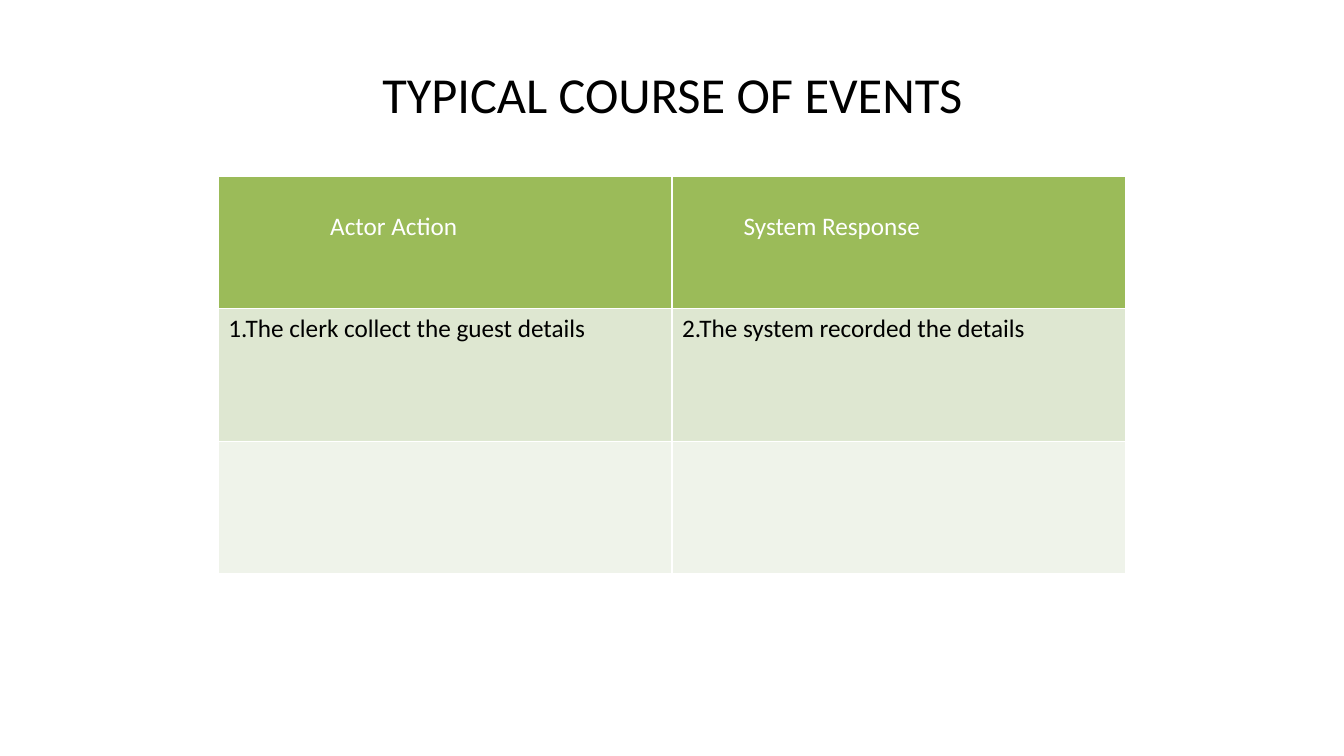
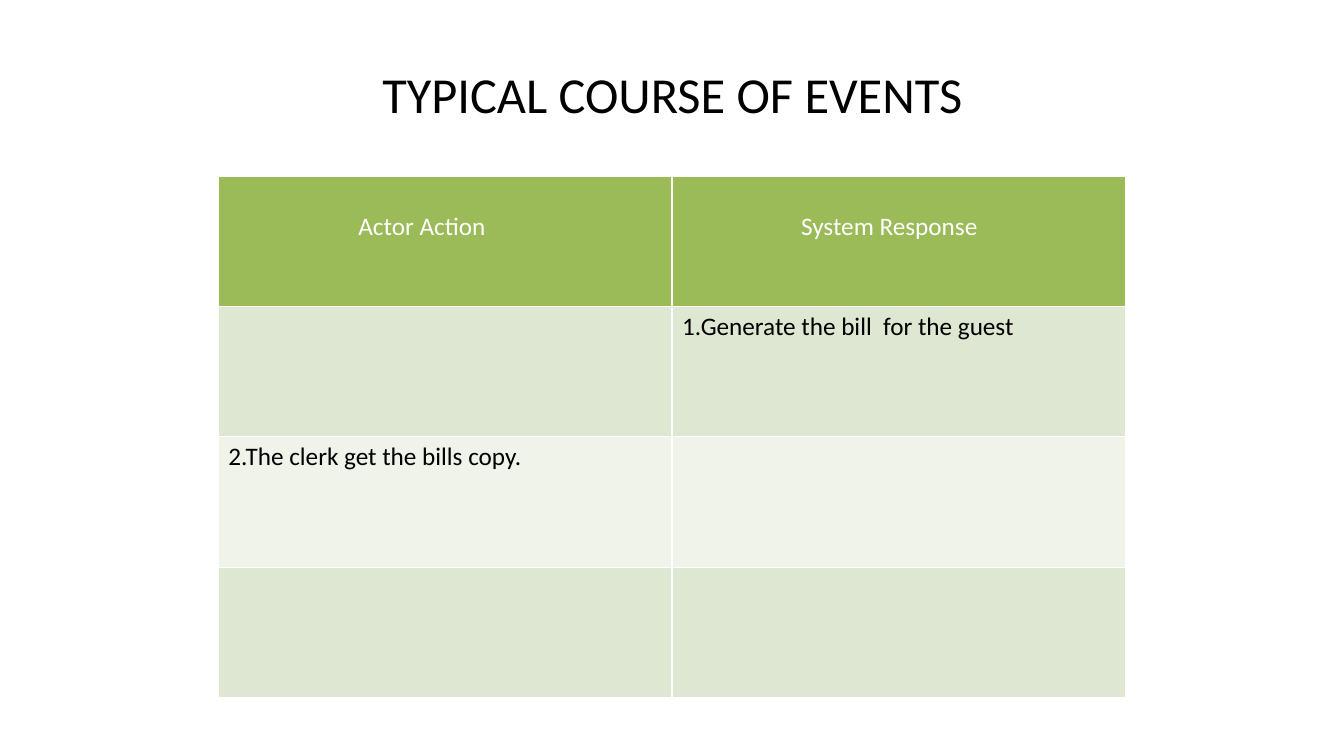
from lxml import etree
from pptx import Presentation
from pptx import util as u
from pptx.dml.color import RGBColor
from pptx.enum import text
from pptx.oxml.ns import qn

# Content: header pairs hold the label and its indent in inches
TITLE = "TYPICAL COURSE OF EVENTS"
SLIDES = [
    {"head": [("Actor Action", 1.11), ("System Response", 0.71)],
     "rows": [("1.The clerk collect the guest details",
               "2.The system recorded the details"),
              ("", "")],
     "height": 3.94},
    {"head": [("Actor Action", 1.39), ("System Response", 1.28)],
     "rows": [("", "1.Generate the bill  for the guest"),
              ("2.The clerk get the bills copy.", ""),
              ("", "")],
     "height": 5.17},
]

# Shared style
BLACK = RGBColor(0x00, 0x00, 0x00)
WHITE = RGBColor(0xFF, 0xFF, 0xFF)
GREEN = RGBColor(0x9B, 0xBB, 0x59)
BANDS = [RGBColor(0xDE, 0xE7, 0xD1), RGBColor(0xEF, 0xF3, 0xEA)]
WIDE, HIGH = 13.33, 7.5
TABLE_W, TABLE_TOP = 9, 1.75
HEAD_DROP = 0.35


def style(para, size, color):
    look = {"name": "Calibri", "size": u.Pt(size), "bold": False}
    for key, value in look.items():
        setattr(para.font, key, value)
    para.font.color.rgb = color


def add_title(slide):
    box = slide.shapes.add_textbox(u.Inches(0.67), u.Inches(0.3),
                                   u.Inches(12), u.Inches(1.25))
    frame = box.text_frame
    frame.word_wrap = True
    frame.vertical_anchor = text.MSO_ANCHOR.MIDDLE
    frame.text = TITLE
    para = frame.paragraphs[0]
    para.alignment = text.PP_ALIGN.CENTER
    style(para, 36, BLACK)


def add_edges(cell):
    props = cell._tc.get_or_add_tcPr()
    for side in "LRTB":
        line = etree.SubElement(props, qn(f"a:ln{side}"), w=str(u.Pt(1)))
        fill = etree.SubElement(line, qn("a:solidFill"))
        etree.SubElement(fill, qn("a:srgbClr"), val=str(WHITE))


def fill_cell(cell, words, back, color):
    add_edges(cell)
    cell.fill.solid()
    cell.fill.fore_color.rgb = back
    cell.text = words
    style(cell.text_frame.paragraphs[0], 18, color)


def add_events(slide, data):
    count = len(data["rows"]) + 1
    grid = slide.shapes.add_table(
        count, 2, u.Inches((WIDE - TABLE_W) / 2), u.Inches(TABLE_TOP),
        u.Inches(TABLE_W), u.Inches(data["height"])).table
    grid.first_row = grid.horz_banding = False

    # Header row
    for col, (label, indent) in enumerate(data["head"]):
        cell = grid.cell(0, col)
        fill_cell(cell, label, GREEN, WHITE)
        cell.margin_left = u.Inches(indent)
        cell.margin_top = u.Inches(HEAD_DROP)

    # Banded body rows
    for row, line in enumerate(data["rows"]):
        for col, words in enumerate(line):
            fill_cell(grid.cell(row + 1, col), words, BANDS[row % 2], BLACK)


def main():
    deck = Presentation()
    deck.slide_width, deck.slide_height = u.Inches(WIDE), u.Inches(HIGH)
    for data in SLIDES:
        slide = deck.slides.add_slide(deck.slide_layouts[6])
        add_title(slide)
        add_events(slide, data)
    deck.save("out.pptx")


if __name__ == "__main__":
    main()
